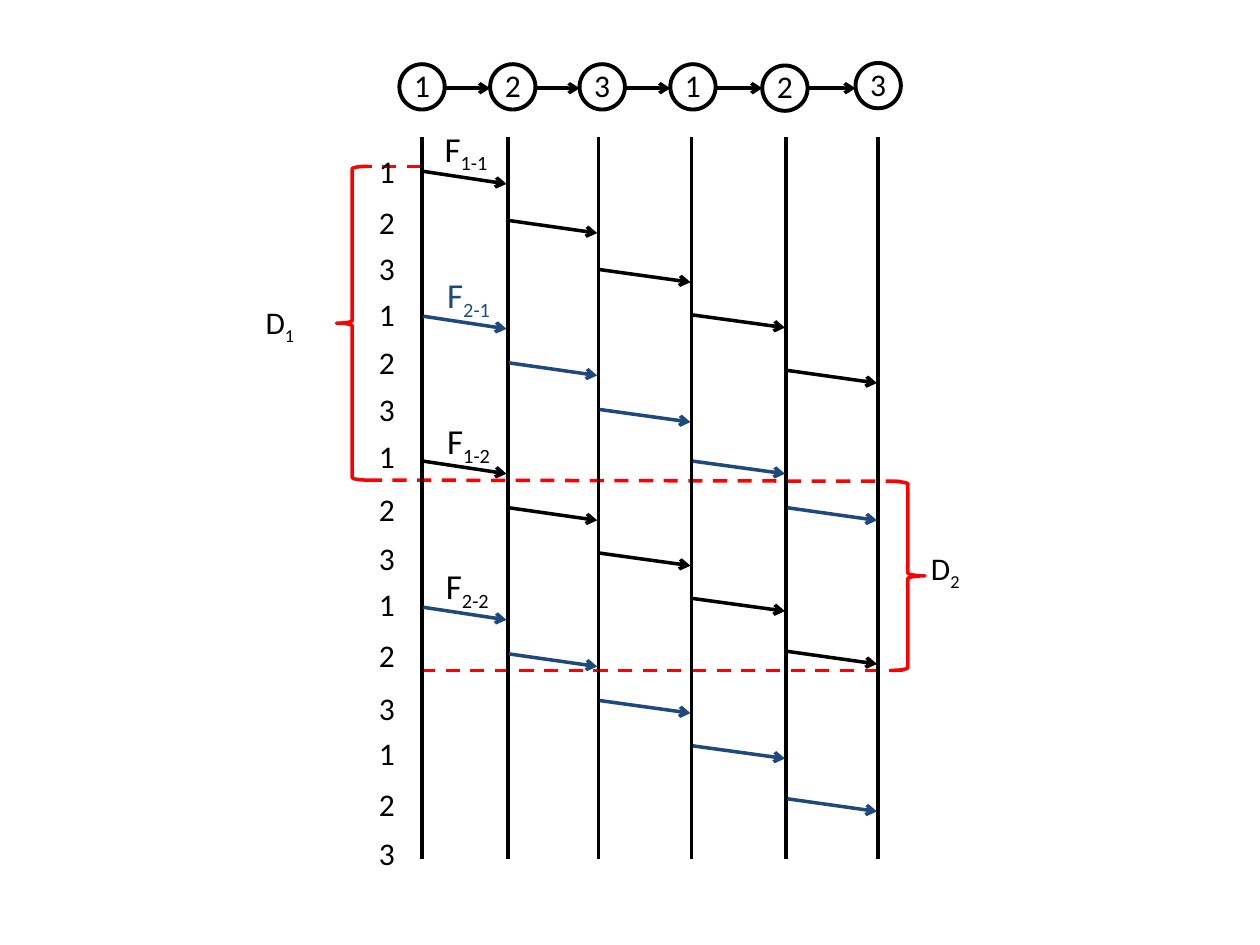
import pptx
import pptx.util
import pptx.dml.color
import pptx.enum.dml
import pptx.enum.shapes
import pptx.enum.text
import pptx.oxml
from lxml import etree

Inches, Pt = pptx.util.Inches, pptx.util.Pt
Kind = pptx.enum.shapes.MSO_SHAPE
BLACK, BLUE, RED, WHITE = "000000", "1F497D", "FF0000", "FFFFFF"

# Content: nodes as (digit, left, top)
NODES = [("1", 3.17, 0.51), ("2", 3.89, 0.51), ("3", 4.6, 0.51),
         ("1", 5.32, 0.51), ("2", 6.05, 0.52), ("3", 6.79, 0.5)]
SIZE = 0.36
LANES = [3.35, 4.03, 4.75, 5.49, 6.24, 6.97]
SLOTS = [1.16, 1.56, 1.93, 2.29, 2.67, 3.05, 3.42, 3.84,
         4.23, 4.59, 5.0, 5.42, 5.78, 6.18, 6.57]
# Flows: index, colour, label place, label colour, start of each hop
FLOWS = [
    ("1-1", BLACK, (3.43, 0.96), BLACK, [1.36, 1.75, 2.14, 2.5, 2.94]),
    ("2-1", BLUE, (3.45, 2.12), BLUE, [2.51, 2.88, 3.25, 3.66, 4.03]),
    ("1-2", BLACK, (3.45, 3.28), BLACK, [3.66, 4.03, 4.39, 4.75, 5.17]),
    ("2-2", BLUE, (3.44, 4.43), BLACK, [4.82, 5.19, 5.56, 5.92, 6.34]),
]
DROP = 0.1
# Delays: index, label place, brace box, turn
DELAYS = [("1", (2.01, 2.36), (2.67, 1.32, 0.25, 2.49), 0),
          ("2", (7.29, 4.31), (7.07, 3.82, 0.27, 1.5), 180)]
BOUNDS = [(3.34, 1.32, 2.92, 1.32), (7.14, 3.82, 2.92, 3.81),
          (7.17, 5.32, 3.35, 5.32)]

deck = pptx.Presentation()
deck.slide_width, deck.slide_height = Inches(10), Inches(7.5)
slide = deck.slides.add_slide(deck.slide_layouts[6])
shapes = slide.shapes


def paint(part, color):
    if hasattr(part, "solid"):
        part.solid()
        part = part.fore_color
    else:
        part = part.color
    part.rgb = pptx.dml.color.RGBColor.from_string(color)


def line(x1, y1, x2, y2, color=BLACK, arrow=False, dash=False):
    item = shapes.add_connector(pptx.enum.shapes.MSO_CONNECTOR.STRAIGHT,
                                *map(Inches, (x1, y1, x2, y2)))
    paint(item.line, color)
    item.line.width = Pt(2)
    if dash:
        item.line.dash_style = pptx.enum.dml.MSO_LINE.DASH
    if arrow:
        tail = pptx.oxml.ns.qn("a:tailEnd")
        etree.SubElement(item.line._get_or_add_ln(), tail, type="arrow")
    etree.SubElement(item._element.spPr, pptx.oxml.ns.qn("a:effectLst"))


def write(frame, text, size=18, color=BLACK, sub=""):
    para = frame.paragraphs[0]
    para.add_run().text = text
    if sub:
        low = para.add_run()
        low.text = sub
        low.font._element.set("baseline", "-25000")
    para.font.size, para.font.name = Pt(size), "Calibri"
    paint(para.font.fill, color)
    return para


def label(x, y, w, h, text, **style):
    frame = shapes.add_textbox(*map(Inches, (x, y, w, h))).text_frame
    frame.word_wrap = False
    write(frame, text, **style)


def outline(kind, box, color, width):
    item = shapes.add_shape(kind, *map(Inches, box))
    item.shadow.inherit = False
    item.fill.background()
    paint(item.line, color)
    item.line.width = Pt(width)
    return item


# Dashed bounds of the delays
for ends in BOUNDS:
    line(*ends, color=RED, dash=True)

# Chain of nodes
for digit, x, y in NODES:
    node = outline(Kind.OVAL, (x, y, SIZE, SIZE), BLACK, 2.25)
    paint(node.fill, WHITE)
    frame = node.text_frame
    frame.margin_left = frame.margin_right = 0
    frame.margin_top, frame.margin_bottom = 0, Inches(0.03)
    frame.word_wrap = False
    para = write(frame, digit)
    para.alignment = pptx.enum.text.PP_ALIGN.CENTER
for (_, x, _), (_, end, _) in zip(NODES, NODES[1:]):
    line(x + SIZE, 0.7, end, 0.7, arrow=True)

# Lanes and time slots
for x in LANES:
    line(x, 1.09, x, 6.82)
for i, y in enumerate(SLOTS):
    label(2.91, y, 0.33, 0.4, str(i % 3 + 1))

# Flows hop from lane to lane
for name, color, (x, y), ink, starts in FLOWS:
    label(x, y, 0.58, 0.44, "F", size=20, color=ink, sub=name)
    for left, right, top in zip(LANES, LANES[1:], starts):
        line(left + 0.01, top, right - 0.01, top + DROP, color, arrow=True)

# Delay braces
for name, (x, y), box, turn in DELAYS:
    brace = outline(Kind.LEFT_BRACE, box, RED, 2)
    brace.rotation = turn
    label(x, y, 0.56, 0.4, "D", sub=name)

deck.save("out.pptx")
